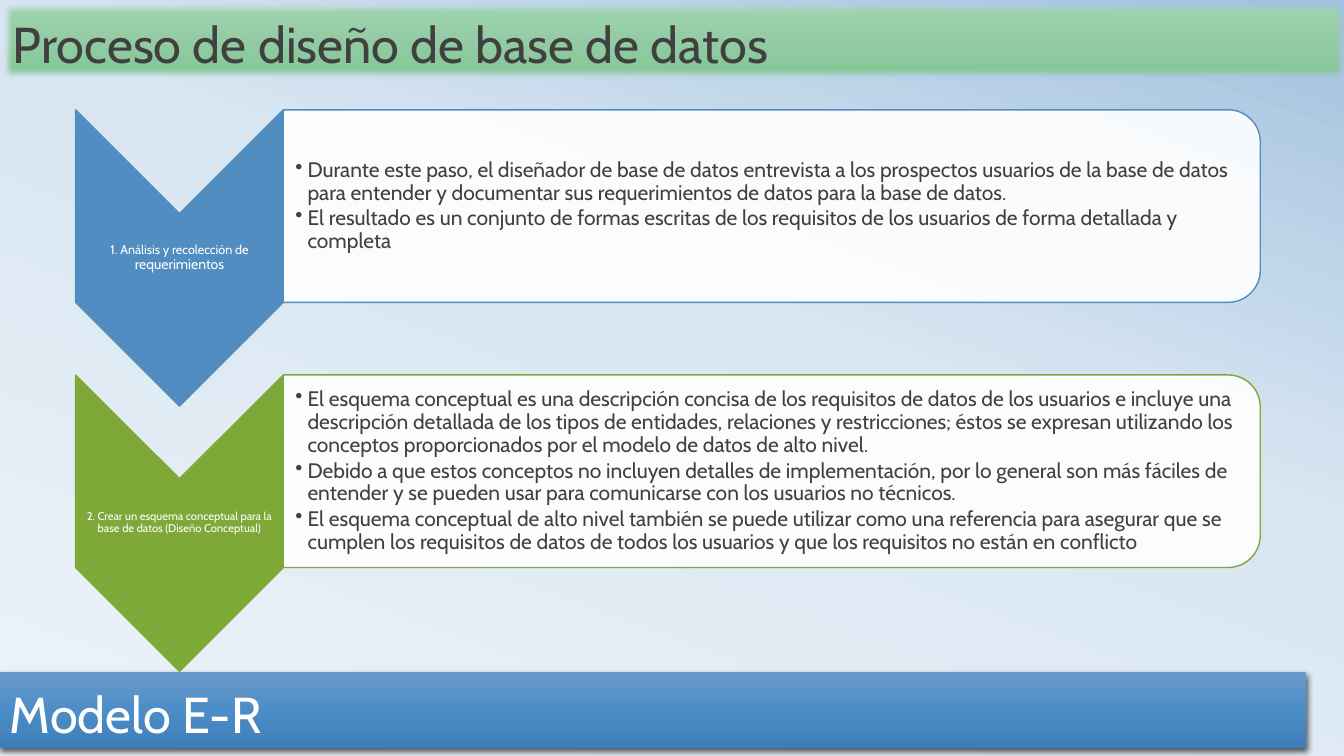
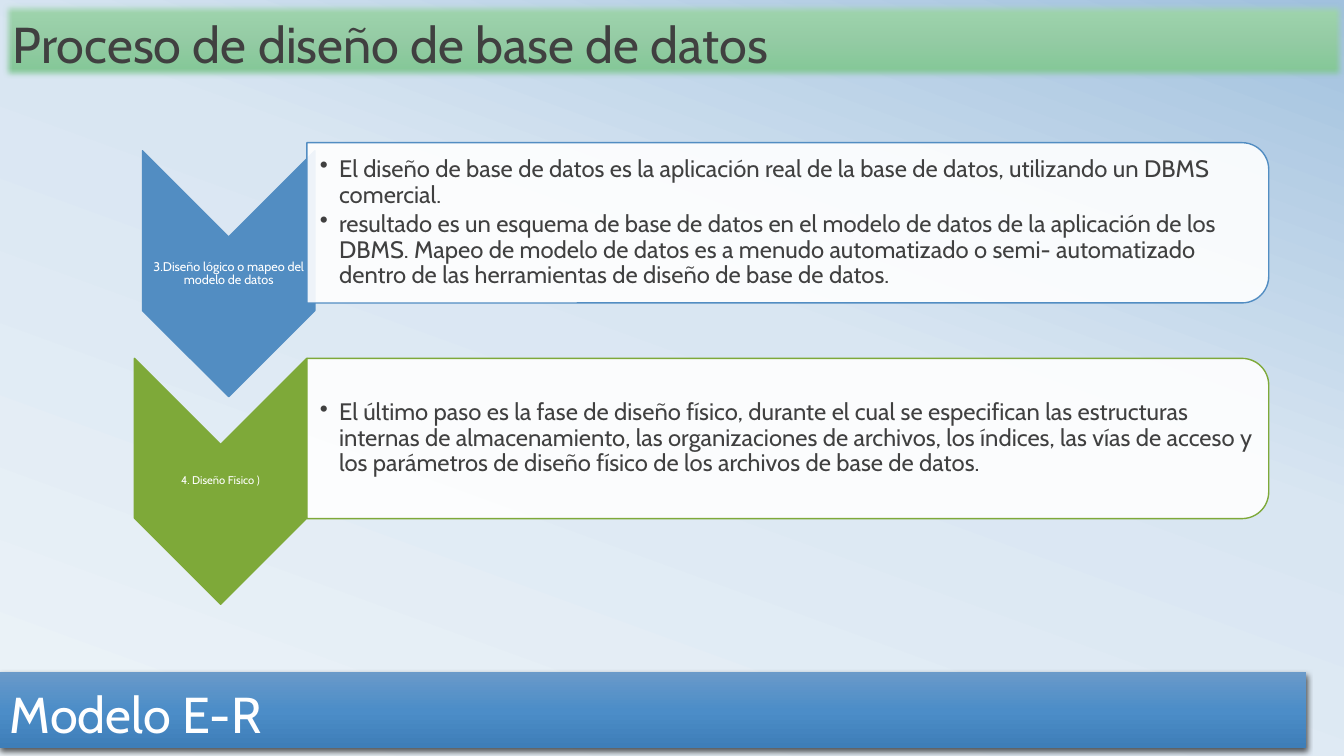
from dataclasses import dataclass
from pptx import Presentation
from pptx.dml.color import RGBColor
from pptx.enum.shapes import MSO_SHAPE as Form
from pptx.enum.text import MSO_ANCHOR as Anchor, PP_ALIGN as Align
from pptx.oxml.ns import qn
from pptx.util import Inches, Pt
from lxml.etree import SubElement as Sub

WIDE, HIGH = Inches(13.33), Inches(7.5)
FONT = "Cabin"
INK, WHITE, BLUE, GREEN = "404040", "FFFFFF", "528DC2", "7EA939"
SKY = [(0, "ECF3F8"), (58, "D9E6F2"), (100, "A1C1DE")]
SEA = [(0, "6A9AC9"), (50, "4C8DC8"), (100, "3E7EB8")]
MINT = [(0, "A1D6AF"), (50, "94CBA4"), (100, "80C794")]


@dataclass(frozen=True)
class Box:
    """Place and size in percent of the slide's width and height."""
    x: float
    y: float
    w: float
    h: float

    def frame(self) -> tuple[int, int, int, int]:
        return (round(self.x * WIDE / 100), round(self.y * HIGH / 100),
                round(self.w * WIDE / 100), round(self.h * HIGH / 100))


@dataclass(frozen=True)
class Run:
    text: str
    size: float
    tint: str


@dataclass(frozen=True)
class Step:
    label: list[Run]
    points: list[str]
    tint: str
    dx: float = 0
    dy: float = 0


@dataclass(frozen=True)
class Plan:
    arrow: Box
    wide: float
    high: float
    pitch: float
    size: float
    hang: float
    inset: float
    steps: list[Step]


def color(code: str) -> RGBColor:
    return RGBColor.from_string(code)


def blend(fill, root, stops, angle: int) -> None:
    fill.gradient()
    grad = root.find(".//" + qn("a:gradFill"))
    grad.find(qn("a:lin")).set("ang", str(angle * 60000))
    ramp = grad.find(qn("a:gsLst"))
    for old in list(ramp):
        ramp.remove(old)
    for pos, code in stops:
        stop = Sub(ramp, qn("a:gs"), pos=str(pos * 1000))
        Sub(stop, qn("a:srgbClr"), val=code)


def effect(shape, kind: str, **args: str):
    return Sub(shape.element.spPr.find(qn("a:effectLst")), qn(kind), **args)


def write(para, runs: list[Run], space: float) -> None:
    para.line_spacing = space
    for item in runs:
        run = para.add_run()
        run.text = item.text
        run.font.name, run.font.size = FONT, Pt(item.size)
        run.font.color.rgb = color(item.tint)


def band(slide, box: Box, stops, run: Run):
    shape = slide.shapes.add_shape(Form.RECTANGLE, *box.frame())
    shape.shadow.inherit = False
    blend(shape.fill, shape.element, stops, 90)
    shape.line.fill.background()
    body = shape.text_frame
    body.word_wrap, body.vertical_anchor = True, Anchor.BOTTOM
    body.paragraphs[0].alignment = Align.LEFT
    write(body.paragraphs[0], [run], 0.8)
    return shape


def turned(slide, form, box: Box, fill: str, line: str):
    x, y, w, h = box.frame()
    shape = slide.shapes.add_shape(form, x + (w - h) // 2, y + (h - w) // 2, h, w)
    shape.rotation = 90
    shape.shadow.inherit = False
    shape.fill.solid()
    shape.fill.fore_color.rgb = color(fill)
    shape.line.color.rgb = color(line)
    shape.line.width = Pt(1)
    return shape


def area(slide, box: Box, left: float = 0.01):
    body = slide.shapes.add_textbox(*box.frame()).text_frame
    body.word_wrap, body.vertical_anchor = True, Anchor.MIDDLE
    body.margin_left = Inches(left)
    body.margin_top = body.margin_right = body.margin_bottom = Inches(0.01)
    return body


def bullet(para, hang: float) -> None:
    props = para._p.get_or_add_pPr()
    props.set("marL", str(Inches(hang)))
    props.set("indent", str(-Inches(hang)))
    Sub(props, qn("a:buChar"), char="•")


def draw(slide, plan: Plan, row: int, step: Step) -> None:
    base, top = plan.arrow, plan.arrow.y + row * plan.pitch
    arrow = Box(base.x + step.dx, top + step.dy, base.w, base.h)
    turned(slide, Form.CHEVRON, arrow, step.tint, step.tint)
    notch = base.w * WIDE / HIGH / 2
    label = area(slide, Box(arrow.x, arrow.y + notch, base.w, base.h - 2 * notch))
    label.paragraphs[0].alignment = Align.CENTER
    write(label.paragraphs[0], step.label, 0.9)

    card = Box(base.x + base.w, top, plan.wide, plan.high)
    panel = turned(slide, Form.ROUND_2_SAME_RECTANGLE, card, WHITE, step.tint)
    Sub(panel.element.spPr.find(".//" + qn("a:srgbClr")), qn("a:alpha"), val="90000")
    pad = card.h * 0.05
    body = area(slide, Box(card.x, card.y + pad, card.w - pad * HIGH / WIDE,
                           card.h - 2 * pad), plan.inset)
    for spot, text in enumerate(step.points):
        para = body.add_paragraph() if spot else body.paragraphs[0]
        bullet(para, plan.hang)
        para.space_after = Pt(round(plan.size * 0.15, 2))
        write(para, [Run(text, plan.size, INK)], 0.9)


def page(deck, plan: Plan) -> None:
    slide = deck.slides.add_slide(deck.slide_layouts[6])
    blend(slide.background.fill, slide.element, SKY, 290)
    foot = band(slide, Box(0, 88.93, 97.2, 10), SEA, Run("Modelo E-R", 36, WHITE))
    glow = effect(foot, "a:outerShdw", blurRad=str(Pt(4.5)), dist=str(Pt(1.5)),
                  dir="5400000", algn="ctr", rotWithShape="0")
    Sub(Sub(glow, qn("a:srgbClr"), val="000000"), qn("a:alpha"), val="63000")
    head = band(slide, Box(0.23, 0.4, 99.77, 10), MINT,
                Run("Proceso de diseño de base de datos", 36, INK))
    head.line.color.rgb = color("31A962")
    head.line.width = Pt(0.5)
    effect(head, "a:softEdge", rad=str(Pt(5)))
    for row, step in enumerate(plan.steps):
        draw(slide, plan, row, step)


PLANS = [
    Plan(Box(5.63, 14.53, 15.45, 39.2), 72.69, 25.47, 35.07, 15, 0.12, 0.12, [
        Step([Run("1. Análisis y recolección de ", 9, WHITE),
              Run("requerimientos", 10, WHITE)], [
            "Durante este paso, el diseñador de base de datos entrevista a los "
            "prospectos usuarios de la base de datos para entender y documentar "
            "sus requerimientos de datos para la base de datos.",
            "El resultado es un conjunto de formas escritas de los requisitos de "
            "los usuarios de forma detallada y completa",
        ], BLUE),
        Step([Run("2. Crear un esquema conceptual para la base de datos "
                  "(Diseño Conceptual)", 8, WHITE)], [
            "El esquema conceptual es una descripción concisa de los requisitos "
            "de datos de los usuarios e incluye una descripción detallada de los "
            "tipos de entidades, relaciones y restricciones; éstos se expresan "
            "utilizando los conceptos proporcionados por el modelo de datos de "
            "alto nivel.",
            "Debido a que estos conceptos no incluyen detalles de implementación, "
            "por lo general son más fáciles de entender y se pueden usar para "
            "comunicarse con los usuarios no técnicos.",
            "El esquema conceptual de alto nivel también se puede utilizar como "
            "una referencia para asegurar que se cumplen los requisitos de datos "
            "de todos los usuarios y que los requisitos no están en conflicto",
        ], GREEN),
    ]),
    Plan(Box(10, 18.87, 12.83, 32.53), 71.57, 21.2, 28.53, 17, 0.19, 0.13, [
        Step([Run("3.Diseño lógico o mapeo del modelo de datos", 9, WHITE)], [
            "El diseño de base de datos es la aplicación real de la base de datos, "
            "utilizando un DBMS comercial.",
            "resultado es un esquema de base de datos en el modelo de datos de la "
            "aplicación de los DBMS. Mapeo de modelo de datos es a menudo "
            "automatizado o semi- automatizado dentro de las herramientas de "
            "diseño de base de datos.",
        ], BLUE, 0.6, 1.07),
        Step([Run("4. Diseño Físico )", 8, WHITE)], [
            "El último paso es la fase de diseño físico, durante el cual se "
            "especifican las estructuras internas de almacenamiento, las "
            "organizaciones de archivos, los índices, las vías de acceso y los "
            "parámetros de diseño físico de los archivos de base de datos.",
        ], GREEN),
    ]),
]


def main() -> None:
    deck = Presentation()
    deck.slide_width, deck.slide_height = WIDE, HIGH
    for plan in PLANS:
        page(deck, plan)
    deck.save("out.pptx")


if __name__ == "__main__":
    main()
